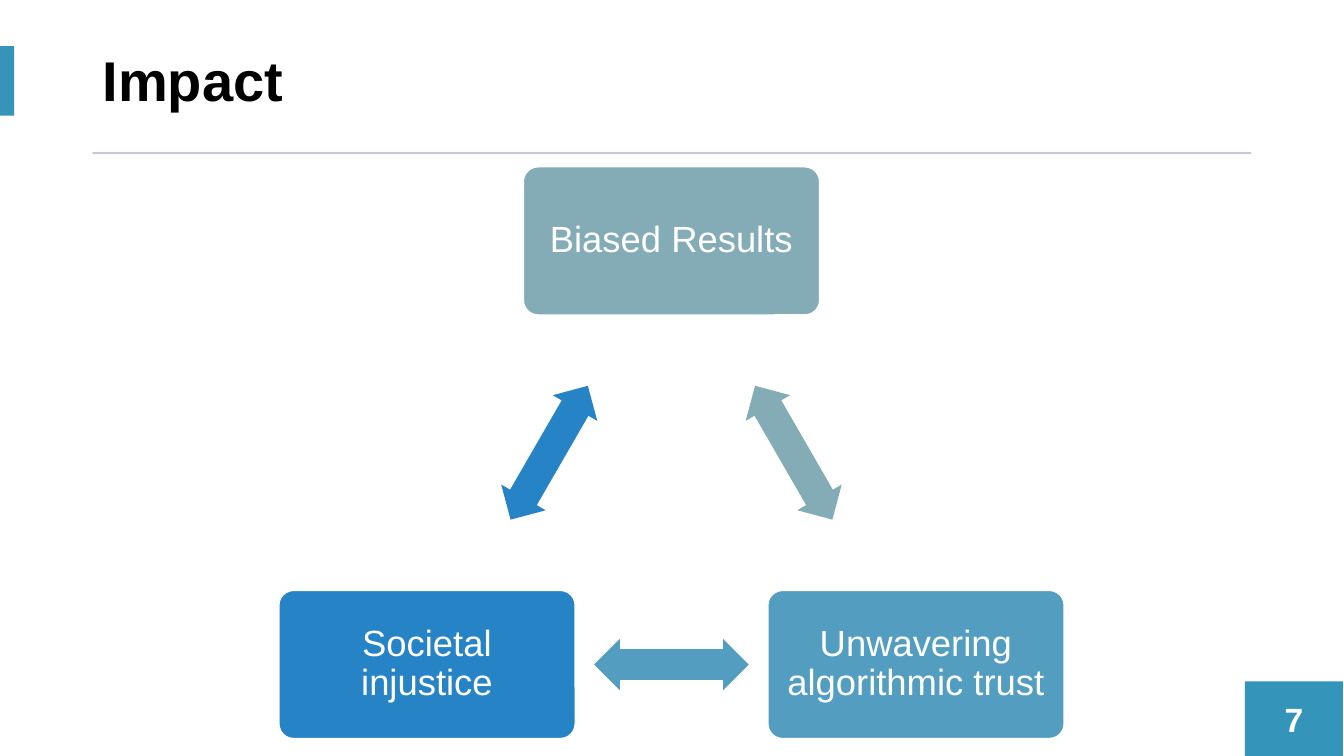
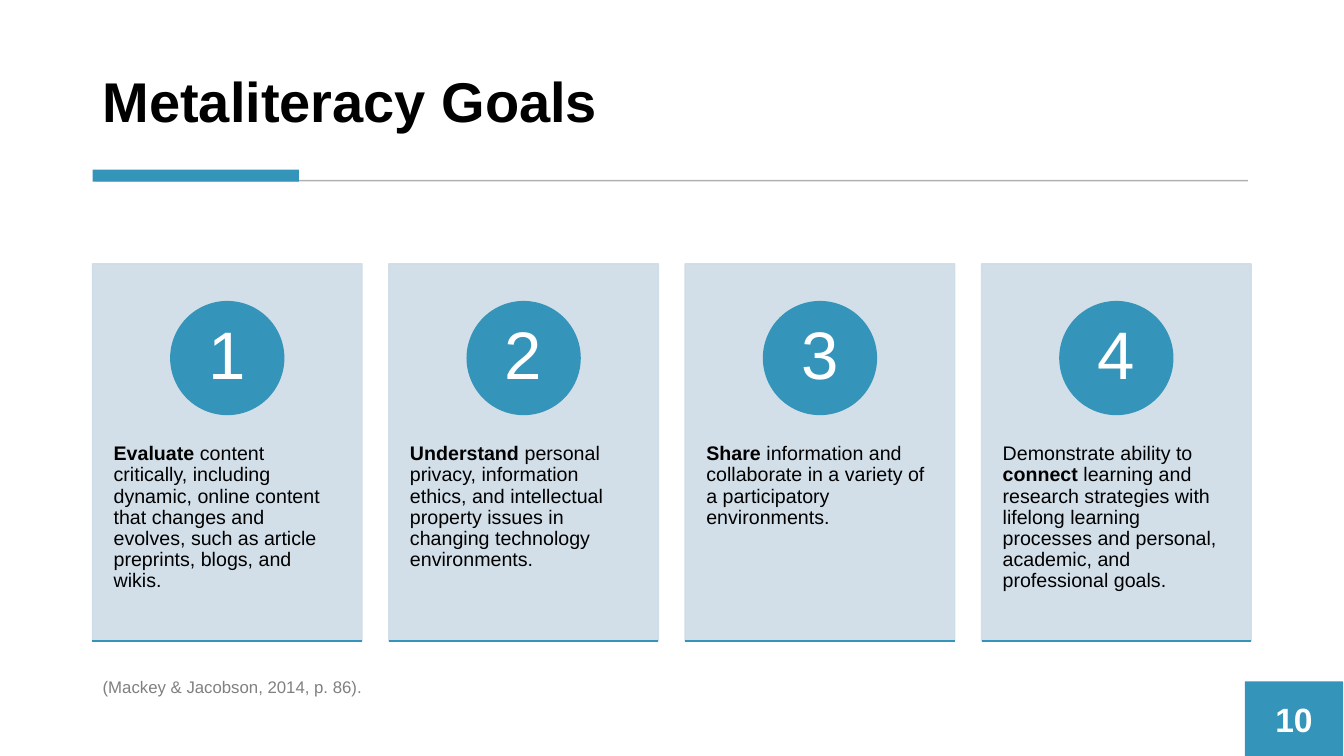
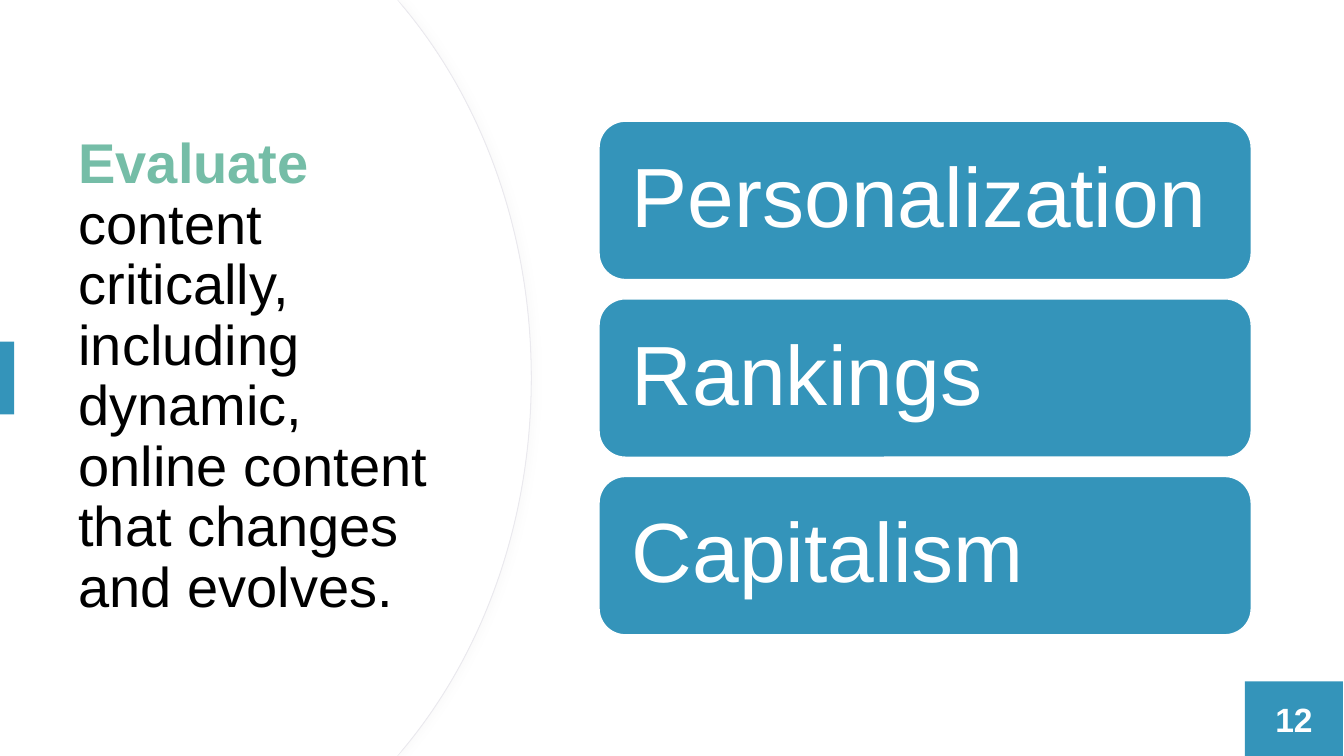
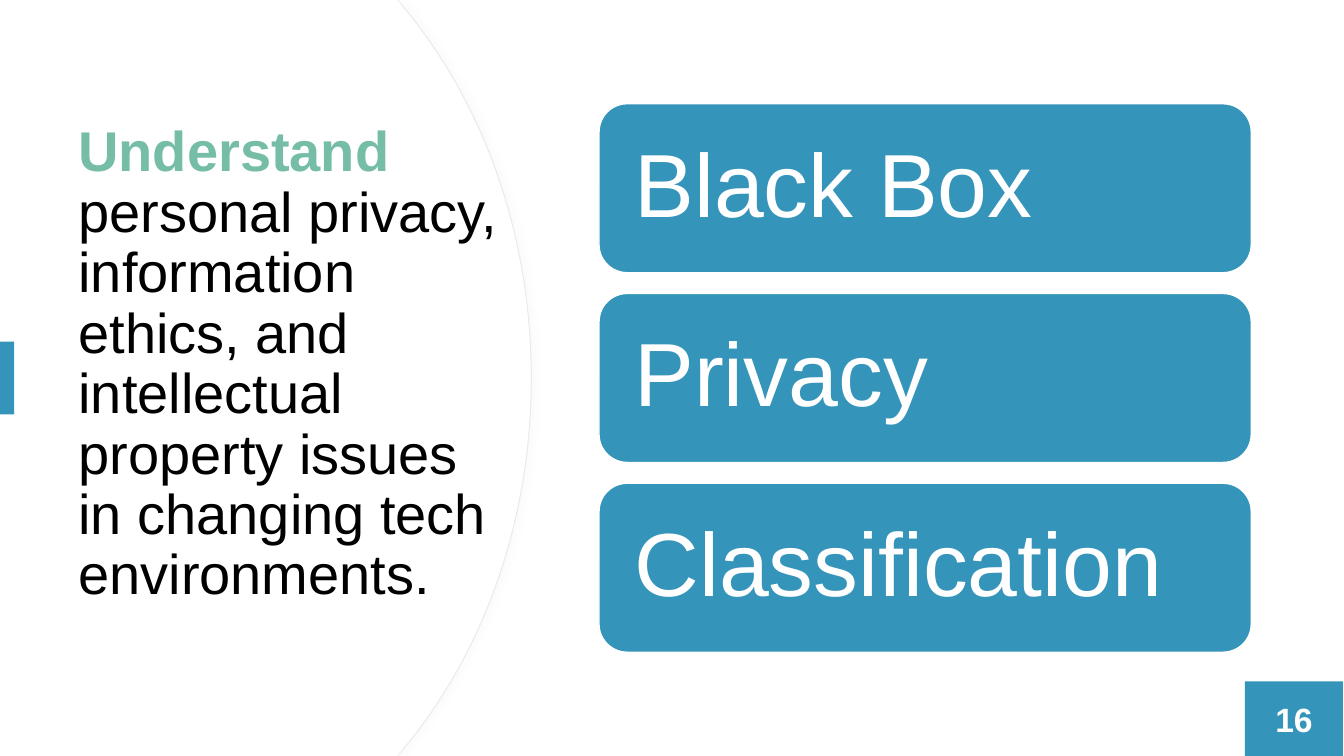
"""Build four metaliteracy slides on a percentage grid."""
from dataclasses import dataclass

from lxml import etree
from pptx import Presentation
from pptx import util as u
from pptx.dml.color import RGBColor
from pptx.enum import shapes, text
from pptx.oxml.ns import qn

SHAPE = shapes.MSO_SHAPE
ALIGN = text.PP_ALIGN
ANCHOR = text.MSO_ANCHOR


@dataclass(frozen=True)
class Theme:
    font: str = "Arial"
    accent: str = "3494BA"
    green: str = "75BDA7"
    teal: str = "84ACB6"
    sky: str = "539EC0"
    blue: str = "2683C6"
    card: str = "CEDCE7"
    rule: str = "CAC8D5"
    gray_rule: str = "B0B0B0"
    edge: str = "EAE9EE"
    shade: str = "D9D9D9"
    note: str = "808080"
    black: str = "000000"
    white: str = "FFFFFF"
    title_size: int = 40
    node_size: int = 26
    page_size: int = 24
    number_size: int = 48
    body_size: int = 14
    note_size: int = 12


T = Theme()
LEFT, WIDTH = 6.9, 86.2


def rgb(value):
    return RGBColor.from_string(value)


def write(sp, content, *, size, color=T.black, bold=False, align=ALIGN.LEFT,
          anchor=ANCHOR.MIDDLE, inset=(0.1, 0.05), spacing=0.9):
    tf = sp.text_frame
    tf.word_wrap = True
    tf.vertical_anchor = anchor
    tf.margin_left = tf.margin_right = u.Inches(inset[0])
    tf.margin_top = tf.margin_bottom = u.Inches(inset[1])
    p = tf.paragraphs[0]
    p.alignment = align
    p.line_spacing = spacing
    runs = [(content, {})] if isinstance(content, str) else content
    for words, style in runs:
        for i, part in enumerate(words.split("\n")):
            if i:
                p.add_line_break()
            if part:
                r = p.add_run()
                r.text = part
                r.font.name = T.font
                r.font.size = u.Pt(size)
                r.font.bold = style.get("bold", bold)
                r.font.color.rgb = rgb(style.get("color", color))
    return tf


class Deck:
    def __init__(self):
        self.prs = Presentation()
        self.prs.slide_width = u.Inches(13.333)
        self.prs.slide_height = u.Inches(7.5)
        self.s = None

    def x(self, share):
        return round(self.prs.slide_width * share / 100)

    def y(self, share):
        return round(self.prs.slide_height * share / 100)

    def box(self, left, top, width, height):
        return self.x(left), self.y(top), self.x(width), self.y(height)

    def slide(self):
        self.s = self.prs.slides.add_slide(self.prs.slide_layouts[6])
        fill = self.s.background.fill
        fill.solid()
        fill.fore_color.rgb = rgb(T.white)

    def page(self, number):
        sp = self.shape(92.63, 90.13, 7.3, 9.87, T.accent)
        write(sp, str(number), size=T.page_size, color=T.white, bold=True,
              align=ALIGN.CENTER, spacing=1.0)

    def paint(self, sp, fill, line=None, weight=1, alpha=None):
        sp.shadow.inherit = False
        sp.fill.solid()
        sp.fill.fore_color.rgb = rgb(fill)
        if line:
            sp.line.color.rgb = rgb(line)
            sp.line.width = u.Pt(weight)
        else:
            sp.line.fill.background()
        if alpha:
            for clr in sp._element.spPr.iter(qn("a:srgbClr")):
                etree.SubElement(clr, qn("a:alpha"), val=str(alpha * 1000))

    def shape(self, left, top, width, height, fill, kind=SHAPE.RECTANGLE,
              adjust=(), **style):
        sp = self.s.shapes.add_shape(kind, *self.box(left, top, width, height))
        for i, value in enumerate(adjust):
            sp.adjustments[i] = value
        self.paint(sp, fill, **style)
        return sp

    def line(self, left, y, width, color, weight):
        c = self.s.shapes.add_connector(
            shapes.MSO_CONNECTOR.STRAIGHT, self.x(left), self.y(y),
            self.x(left + width), self.y(y))
        c.line.color.rgb = rgb(color)
        c.line.width = u.Pt(weight)
        etree.SubElement(c._element.spPr, qn("a:effectLst"))

    def text(self, left, top, width, height, content, **style):
        sp = self.s.shapes.add_textbox(*self.box(left, top, width, height))
        write(sp, content, **style)

    def title(self, content, left=LEFT, top=3.7, width=WIDTH, height=14.75, **style):
        self.text(left, top, width, height, content, size=T.title_size, **style)

    def tab(self, top, height):
        self.shape(0, top, 1.05, height, T.accent)

    def triangle(self, nodes):
        spots = [(49.96, 31.87), (68.15, 87.9), (31.77, 87.9)]
        for i, (label, color) in enumerate(nodes):
            (cx, cy), (nx, ny) = spots[i], spots[(i + 1) % 3]
            sp = self.shape(cx - 11.02, cy - 9.8, 22.05, 19.6, color,
                            SHAPE.ROUNDED_RECTANGLE, (0.1,), line=T.white)
            write(sp, label, size=T.node_size, color=T.white,
                  align=ALIGN.CENTER, inset=(0.11, 0.11))
            arrow = self.shape((cx + nx) / 2 - 5.75, (cy + ny) / 2 - 3.4, 11.5, 6.8,
                               color, SHAPE.LEFT_RIGHT_ARROW, (0.6, 0.5))
            arrow.rotation = 60 + 120 * i

    def cards(self, goals, left=6.88, top=34.9, width=20.06, height=49.9, step=22.05):
        for i, goal in enumerate(goals):
            edge = left + i * step
            sp = self.shape(edge, top, width, height, T.card, line=T.card, alpha=90)
            tf = write(sp, goal, size=T.body_size, anchor=ANCHOR.TOP,
                       inset=(0.21, 0.36))
            tf.margin_top = self.y(23.8)
            dot = self.shape(edge + (width - 8.4) / 2, 39.9, 8.4, 14.93, T.accent,
                             SHAPE.OVAL, line=T.accent)
            write(dot, str(i + 1), size=T.number_size, color=T.white,
                  align=ALIGN.CENTER, inset=(0, 0))
            self.line(edge, top + height, width, T.accent, 1)

    def bulge(self, reach, **style):
        upper = [(29.55, 0), (reach - 9.45, 1.07), (reach - 3.6, 13.6), (reach, 30.9)]
        lower = [(px, 100 - py) for px, py in reversed(upper)]
        outline = upper + [(reach, 50)] + lower + [(0, 100)]
        fb = self.s.shapes.build_freeform(0, 0)
        fb.add_line_segments([(self.x(px), self.y(py)) for px, py in outline])
        sp = fb.convert_to_shape()
        steps = list(sp._element.spPr.iter(qn("a:lnTo")))
        for first in (2, 5):
            bend = etree.Element(qn("a:cubicBezTo"))
            steps[first].addprevious(bend)
            for step in steps[first:first + 3]:
                bend.append(step[0])
                step.getparent().remove(step)
        self.paint(sp, T.white, **style)
        return sp

    def shadow(self, sp):
        effects = sp._element.spPr.find(qn("a:effectLst"))
        cast = etree.SubElement(effects, qn("a:outerShdw"), blurRad=str(u.Pt(4)),
                                dist=str(u.Pt(3)), dir="0", rotWithShape="0")
        clr = etree.SubElement(cast, qn("a:srgbClr"), val=T.shade)
        etree.SubElement(clr, qn("a:alpha"), val="10000")

    def topic(self, number, content, labels, *, top, width, height, gap, size, inset):
        self.slide()
        self.shadow(self.bulge(39.53, line=T.edge, weight=0.75))
        self.bulge(39.46)
        self.title(content, 5.1, top, width, 66)
        self.tab(45.2, 9.6)
        first = 50 - (len(labels) * (height + gap) - gap) / 2
        for i, label in enumerate(labels):
            sp = self.shape(44.57, first + i * (height + gap), 48.53, height, T.accent,
                            SHAPE.ROUNDED_RECTANGLE, line=T.white)
            write(sp, label, size=size, color=T.white, inset=(inset, inset))
        self.page(number)


def main():
    strong = {"bold": True}
    lead = {"bold": True, "color": T.green}
    d = Deck()

    d.slide()
    d.title("Impact", bold=True)
    d.tab(6.1, 9.2)
    d.shape(LEFT, 20.13, WIDTH, 0.27, T.rule)
    d.triangle([("Biased Results", T.teal),
                ("Unwavering algorithmic trust", T.sky),
                ("Societal injustice", T.blue)])
    d.page(7)

    d.slide()
    d.title("Metaliteracy Goals", bold=True, anchor=ANCHOR.BOTTOM)
    d.shape(7.1, 23.8, 85.75, 0.2, T.gray_rule)
    d.shape(LEFT, 22.43, 15.35, 1.6, T.accent)
    d.page(10)
    d.cards([
        [("Evaluate ", strong),
         ("content critically, including dynamic, online content that changes and "
          "evolves, such as article preprints, blogs, and wikis.", {})],
        [("Understand ", strong),
         ("personal privacy, information ethics, and intellectual property issues "
          "in changing technology environments.", {})],
        [("Share ", strong),
         ("information and collaborate in a variety of a participatory "
          "environments.", {})],
        [("Demonstrate ability to", {}), (" connect", strong),
         (" learning and research strategies with lifelong learning processes and "
          "personal, academic, and professional goals.", {})],
    ])
    d.text(LEFT, 88.9, 78.6, 4, "(Mackey & Jacobson, 2014, p. 86).",
           size=T.note_size, color=T.note, anchor=ANCHOR.TOP, spacing=1.0)

    d.topic(12, [("Evaluate ", lead),
                 ("content critically, including dynamic, online content that changes "
                  "and evolves.", {})],
            ["Personalization", "Rankings", "Capitalism"],
            top=16.9, width=29.55, height=20.95, gap=2.55, size=60, inset=0.25)
    d.topic(16, [("Understand\n", lead),
                 ("personal privacy, information\nethics, and\nintellectual\n"
                  "property issues\nin changing tech environments.", {})],
            ["Black Box", "Privacy", "Classification"],
            top=15.3, width=34.05, height=22.35, gap=2.75, size=64, inset=0.27)

    d.prs.save("out.pptx")


if __name__ == "__main__":
    main()
